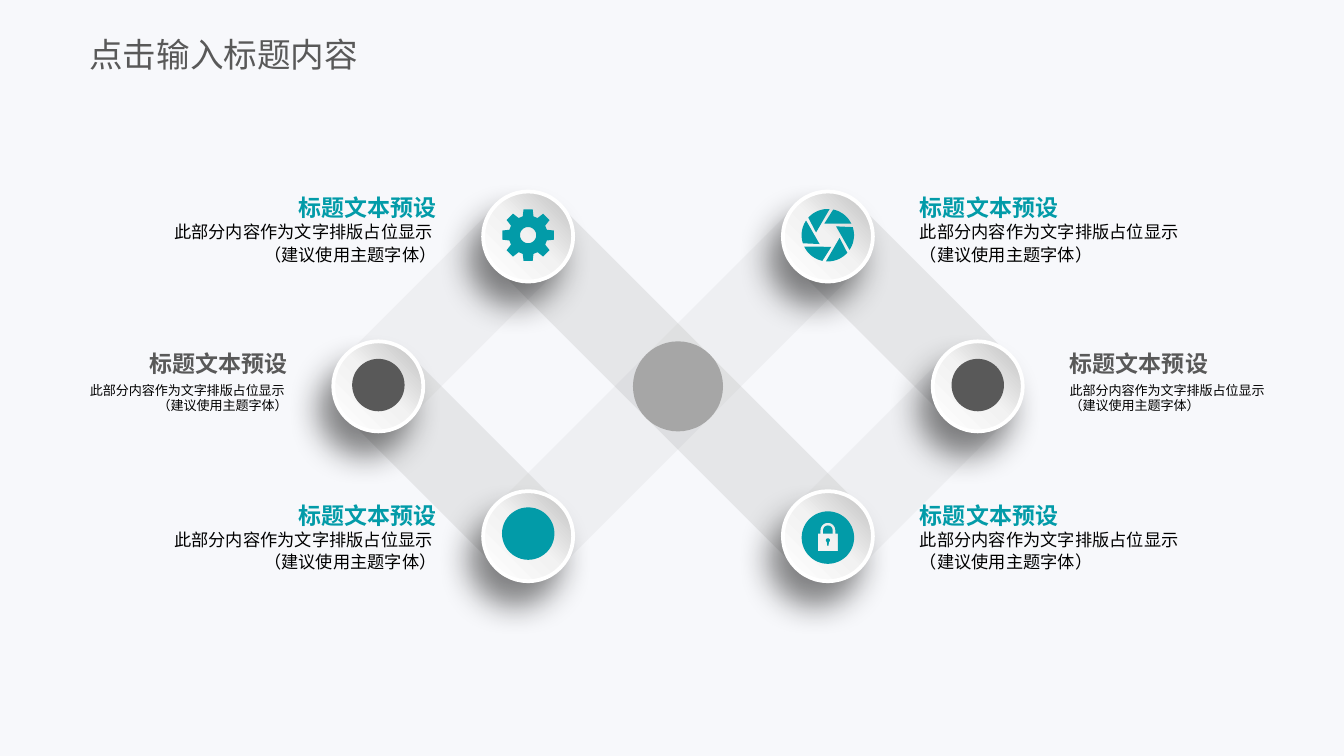
from copy import deepcopy
from math import cos, radians, sin

from pptx import Presentation
from pptx import util as u
from pptx.dml.color import RGBColor
from pptx.enum import shapes, text
from pptx.oxml import parse_xml
from pptx.oxml.ns import nsdecls, qn

PX = 4572  # EMU, 200 px to the inch
FONT = "Noto Sans CJK SC"

BACKGROUND = RGBColor(0xF7, 0xF8, 0xFB)
BLACK = RGBColor(0x00, 0x00, 0x00)
WHITE = RGBColor(0xFF, 0xFF, 0xFF)
TEAL = RGBColor(0x02, 0x9B, 0xA8)
DARK_GRAY = RGBColor(0x59, 0x59, 0x59)
MID_GRAY = RGBColor(0xA6, 0xA6, 0xA6)
BAND_DARK = RGBColor(0x80, 0x80, 0x80)
BAND_LIGHT = RGBColor(0xBF, 0xBF, 0xBF)
BUTTON_STOPS = ((0, BAND_LIGHT), (0.5, RGBColor(0xF2, 0xF2, 0xF2)), (1, WHITE))

STEP = 223
COLUMNS = [563 + STEP * column for column in range(5)]
TOP, MIDDLE, BOTTOM = [352 + STEP * row for row in range(3)]
BAND_OFFSET = 47
BUTTON_RADIUS = 67
ICON_RADIUS = 39

HEADING = "标题文本预设"
BODY = "此部分内容作为文字排版占位显示 \n（建议使用主题字体）"
LABEL_INSET = 62


def px(*lengths):
    return [u.Emu(round(length * PX)) for length in lengths]


def format_text(shape, content, size, colour, alignment, bold=False, spacing=None):
    frame = shape.text_frame
    frame.vertical_anchor = text.MSO_ANCHOR.MIDDLE
    paragraph = frame.paragraphs[0]
    paragraph.text = content
    paragraph.alignment = alignment
    paragraph.line_spacing = spacing
    for run in paragraph.runs:
        font = run.font
        font.name, font.size, font.bold = FONT, u.Pt(size), bold
        font.color.rgb = colour
        east_asian = parse_xml(f'<a:ea {nsdecls("a")} typeface="{FONT}"/>')
        run._r.rPr.find(qn("a:latin")).addnext(east_asian)


def set_margins(frame, left, top, right, bottom):
    frame.margin_left, frame.margin_top, frame.margin_right, frame.margin_bottom = px(
        left, top, right, bottom)


def add_title(slide):
    title = slide.shapes.title
    title.left, title.top, title.width, title.height = px(133, 38, 466, 84)
    set_margins(title.text_frame, 0, 10, 0, 10)
    format_text(title, "点击输入标题内容", 18, DARK_GRAY, text.PP_ALIGN.LEFT)


def add_label(slide, edge, top, on_left, colour, body_width, body_size, spacing=None):
    """Add a heading over its body; edge is the side nearest the button."""
    alignment = text.PP_ALIGN.RIGHT if on_left else text.PP_ALIGN.LEFT
    rows = ((BODY, top + 34, body_width, 68, body_size, BLACK, False, spacing),
            (HEADING, top, 280, 34, 12.3, colour, True, None))
    for content, y, width, height, size, font_colour, bold, line_spacing in rows:
        left = edge - width if on_left else edge
        box = slide.shapes.add_textbox(*px(left, y, width, height))
        box.text_frame.word_wrap = True
        set_margins(box.text_frame, 0 if on_left else LABEL_INSET, 0,
                    LABEL_INSET if on_left else 0, 0)
        format_text(box, content, size, font_colour, alignment, bold, line_spacing)


def fill_plain(shape, colour):
    shape.shadow.inherit = False
    shape.fill.solid()
    shape.fill.fore_color.rgb = colour
    shape.line.fill.background()


def add_outline(slide, contours, colour):
    """Add one freeform; inner contours become holes."""
    builder = None
    for contour in contours:
        start, *rest = [px(*point) for point in contour]
        if builder is None:
            builder = slide.shapes.build_freeform(*start, scale=1.0)
        else:
            builder.move_to(*start)
        builder.add_line_segments(rest, close=True)
    shape = builder.convert_to_shape()
    fill_plain(shape, colour)
    return shape


def add_disc(slide, x, y, radius, colour):
    disc = slide.shapes.add_shape(
        shapes.MSO_SHAPE.OVAL, *px(x - radius, y - radius, 2 * radius, 2 * radius))
    fill_plain(disc, colour)
    return disc


def add_band(slide, start, end):
    (x1, y1), (x2, y2) = start, end
    falling = y2 > y1
    dx, dy = BAND_OFFSET, -BAND_OFFSET if falling else BAND_OFFSET
    corners = [(x1 + dx, y1 + dy), (x2 + dx, y2 + dy),
               (x2 - dx, y2 - dy), (x1 - dx, y1 - dy)]
    band = add_outline(slide, [corners], BAND_DARK if falling else BAND_LIGHT)
    colour = band._element.spPr.find(qn("a:solidFill"))[0]
    colour.append(parse_xml(f'<a:alpha {nsdecls("a")} val="15000"/>'))


def add_button(slide, x, y):
    button = add_disc(slide, x, y, BUTTON_RADIUS, WHITE)
    button.fill.gradient()
    button.fill.gradient_angle = 225
    properties = button._element.spPr
    stop_list = properties.find(".//" + qn("a:gsLst"))
    stop_list.insert(1, deepcopy(stop_list[0]))
    for stop, (position, colour) in zip(button.fill.gradient_stops, BUTTON_STOPS):
        stop.position = position
        stop.color.rgb = colour
    button.line.color.rgb = WHITE
    button.line.width = u.Pt(2)
    properties.find(qn("a:effectLst")).append(parse_xml(
        f'<a:outerShdw {nsdecls("a")} blurRad="{u.Pt(17)}" dist="{u.Pt(14)}" '
        'dir="7200000" algn="ctr" rotWithShape="0"><a:srgbClr val="0D0D0D">'
        '<a:alpha val="50000"/></a:srgbClr></a:outerShdw>'))


def polar(x, y, radius, angle):
    return x + radius * cos(radians(angle)), y + radius * sin(radians(angle))


def arc(x, y, radius, start=0, end=360, step=6):
    return [polar(x, y, radius, angle) for angle in range(start, end + 1, step)]


def add_gear(slide, x, y):
    teeth = [polar(x, y, radius, angle + turn)
             for angle in range(0, 360, 45)
             for radius, turn in ((29, -16), (ICON_RADIUS, -10), (ICON_RADIUS, 10), (29, 16))]
    add_outline(slide, [teeth, arc(x, y, 12)], TEAL)


def add_aperture(slide, x, y):
    blades = [arc(x, y, ICON_RADIUS, turn + 222, turn + 274, 4)
              + [polar(x, y, 18, turn + 193)] for turn in range(0, 360, 60)]
    add_outline(slide, blades, TEAL)


def add_lock(slide, x, y):
    shackle_y, base = y - 11, y - 6
    silhouette = [(x - 15, y + 20), (x - 15, base), (x - 11, base),
                  *arc(x, shackle_y, 11, 180, 360),
                  (x + 11, base), (x + 15, base), (x + 15, y + 20)]
    opening = [(x - 7, base), *arc(x, shackle_y, 7, 180, 360), (x + 7, base)]
    keyhole = [*arc(x, y + 4, 3, 120, 420), (x + 1, y + 12), (x - 1, y + 12)]
    add_outline(slide, [arc(x, y, ICON_RADIUS), silhouette, opening, keyhole], TEAL)


def main():
    presentation = Presentation()
    presentation.slide_width, presentation.slide_height = px(2000, 1125)
    slide = presentation.slides.add_slide(presentation.slide_layouts[5])
    slide.background.fill.solid()
    slide.background.fill.fore_color.rgb = BACKGROUND
    add_title(slide)

    for outer_row in (BOTTOM, TOP):
        joints = list(zip(COLUMNS, (MIDDLE, outer_row, MIDDLE, outer_row, MIDDLE)))
        for start, end in zip(joints, joints[1:]):
            add_band(slide, start, end)

    far_left, left, centre, right, far_right = COLUMNS
    for x, y in ((far_left, MIDDLE), (left, TOP), (left, BOTTOM),
                 (right, TOP), (right, BOTTOM), (far_right, MIDDLE)):
        add_button(slide, x, y)
    add_disc(slide, centre, MIDDLE, BUTTON_RADIUS, MID_GRAY)

    add_gear(slide, left, TOP - 2)
    add_aperture(slide, right, TOP - 2)
    add_lock(slide, right, BOTTOM + 2)
    for x, y, colour in ((far_left, MIDDLE - 2, DARK_GRAY),
                         (far_right, MIDDLE - 2, DARK_GRAY), (left, BOTTOM - 4, TEAL)):
        add_disc(slide, x, y, ICON_RADIUS, colour)

    for top in (292, 750):
        add_label(slide, 712, top, True, TEAL, 480, 9.2, 1.1)
        add_label(slide, 1307, top, False, TEAL, 484, 9.2, 1.1)
    add_label(slide, 490, 524, True, DARK_GRAY, 388, 7)
    add_label(slide, 1530, 524, False, DARK_GRAY, 380, 7)
    presentation.save("out.pptx")


if __name__ == "__main__":
    main()
